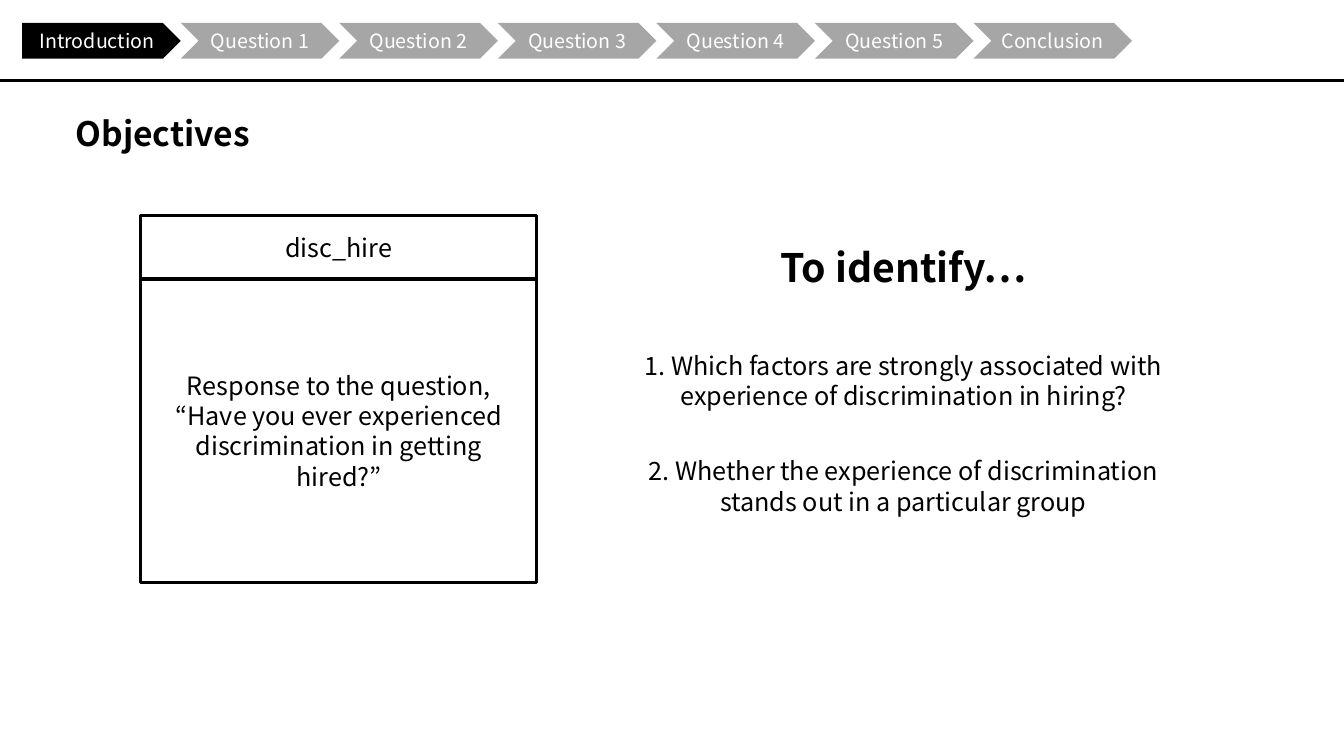
from lxml.etree import SubElement
from pptx import Presentation
from pptx.dml.color import RGBColor
from pptx.enum.shapes import MSO_CONNECTOR, MSO_SHAPE
from pptx.enum.text import MSO_ANCHOR, MSO_AUTO_SIZE, PP_ALIGN
from pptx.oxml.ns import qn
from pptx.util import Cm, Pt

FONT = "Noto Sans CJK KR"
BLACK, GREY, WHITE = "000000", "A6A6A6", "FFFFFF"
STEPS = ["Introduction", *(f"Question {n}" for n in range(1, 6)), "Conclusion"]
OBJECTIVES = [
    "1. Which factors are strongly associated with experience of discrimination in hiring?",
    "2. Whether the experience of discrimination stands out in a particular group",
]


def rgb(value):
    """Turn a hex string into a colour."""
    return RGBColor.from_string(value)


def place(sp, x, y, w, h):
    """Move and size a shape, in centimetres."""
    sp.left, sp.top, sp.width, sp.height = Cm(x), Cm(y), Cm(w), Cm(h)


def write(sp, text, size, color=BLACK, bold=False, anchor=MSO_ANCHOR.TOP):
    """Fill a shape with centred text."""
    tf = sp.text_frame
    tf.text = text
    tf.word_wrap = True
    tf.auto_size = MSO_AUTO_SIZE.NONE
    tf.vertical_anchor = anchor
    for p in tf.paragraphs:
        p.alignment = PP_ALIGN.CENTER
        for r in p.runs:
            r.font.name, r.font.size, r.font.bold = FONT, Pt(size), bold
            r.font.color.rgb = rgb(color)


def add_label(s, text, size, x, y, w, h, bold=False):
    """Add a text box with centred text."""
    write(s.shapes.add_textbox(Cm(x), Cm(y), Cm(w), Cm(h)), text, size, bold=bold)


def add_progress(s, x, y, w, h, current):
    """Draw the row of steps, with the current one in black."""
    step = w / len(STEPS)
    for i, name in enumerate(STEPS):
        kind = MSO_SHAPE.CHEVRON if i else MSO_SHAPE.PENTAGON
        sp = s.shapes.add_shape(kind, Cm(x + i * step), Cm(y), Cm(step), Cm(h))
        sp.shadow.inherit = False
        sp.fill.solid()
        sp.fill.fore_color.rgb = rgb(BLACK if name == current else GREY)
        sp.line.fill.background()
        write(sp, name, 14, WHITE, anchor=MSO_ANCHOR.MIDDLE)


def add_rule(s, y, w):
    """Draw the line below the steps."""
    line = s.shapes.add_connector(MSO_CONNECTOR.STRAIGHT, 0, Cm(y), w, Cm(y))
    line.line.color.rgb = rgb(BLACK)
    line.line.width = Pt(2.25)
    SubElement(line._element.spPr, qn("a:effectLst"))


def add_variable(s, x, y, w, h, name, meaning):
    """Draw a card with the variable's name above its meaning."""
    head = 1.6
    card = s.shapes.add_group_shape()
    for text, top, height in ((meaning, y + head, h - head), (name, y, head)):
        sp = card.shapes.add_shape(MSO_SHAPE.RECTANGLE, Cm(x), Cm(top), Cm(w), Cm(height))
        sp.shadow.inherit = False
        sp.fill.background()
        sp.line.color.rgb = rgb(BLACK)
        sp.line.width = Pt(2.25)
        write(sp, text, 18, anchor=MSO_ANCHOR.MIDDLE)


def add_objectives(s, x, y, w):
    """Write the heading and the objectives below it."""
    add_label(s, "To identify…", 28, x + w / 2 - 4.1, y, 8.2, 1.45, bold=True)
    for i, text in enumerate(OBJECTIVES):
        add_label(s, text, 18, x, y + 2.7 + i * 2.66, w, 1.8)


def main():
    """Build the slide and save it."""
    prs = Presentation()
    prs.slide_width, prs.slide_height = Cm(33.87), Cm(19.05)
    s = prs.slides.add_slide(prs.slide_layouts[5])
    place(s.shapes.title, 0, 2.72, 8.2, 1.28)
    write(s.shapes.title, "Objectives", 24, bold=True)
    add_progress(s, 0.56, 0.58, 27.97, 0.9, "Introduction")
    add_rule(s, 2.03, prs.slide_width)
    add_variable(s, 3.55, 5.43, 9.98, 9.25, "disc_hire",
                 "Response to the question,\n“Have you ever experienced discrimination in getting hired?”")
    add_objectives(s, 15.62, 6, 14.3)
    prs.save("out.pptx")


if __name__ == "__main__":
    main()
